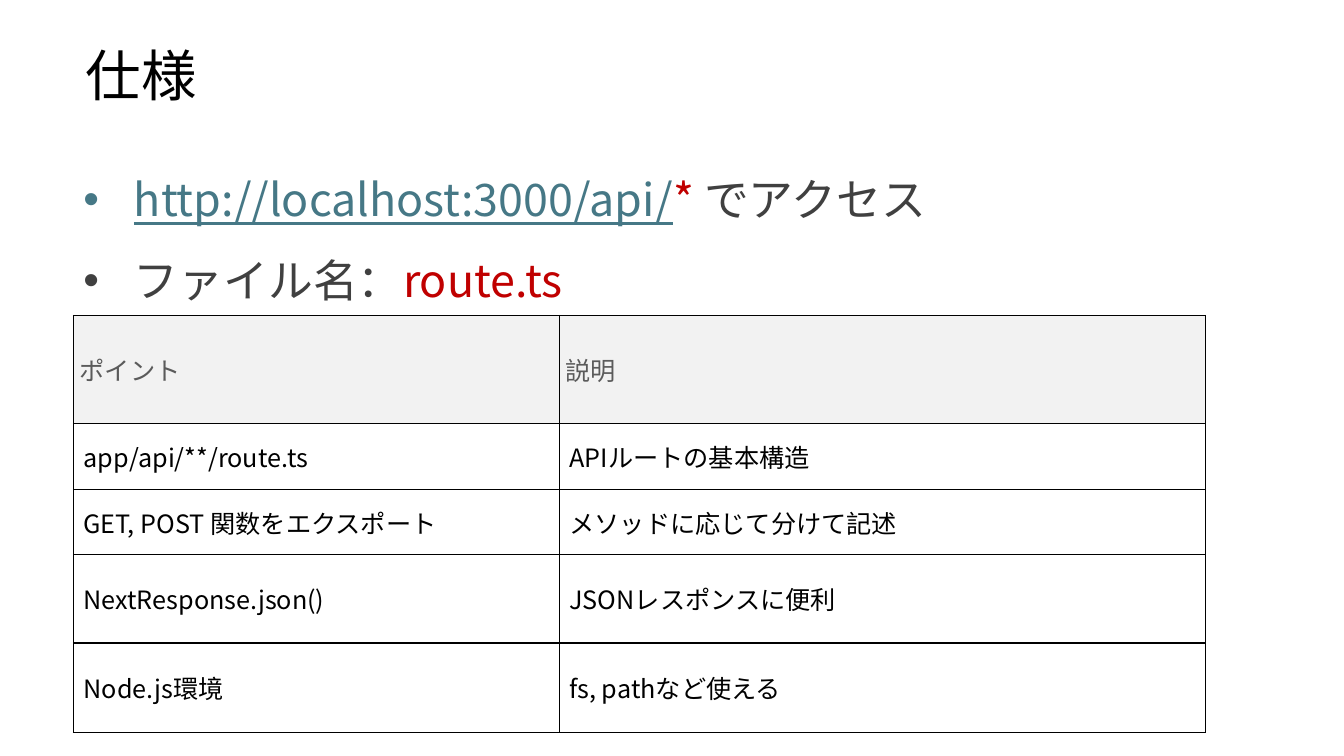
from lxml import etree
from pptx import Presentation
from pptx.dml.color import RGBColor
from pptx.enum.text import MSO_ANCHOR, MSO_AUTO_SIZE, PP_ALIGN
from pptx.oxml.ns import qn
from pptx.util import Pt

MIDDLE = MSO_ANCHOR.MIDDLE
LEFT = PP_ALIGN.LEFT
FIXED = MSO_AUTO_SIZE.NONE
GROW = MSO_AUTO_SIZE.SHAPE_TO_FIT_TEXT

FONT = "Noto Sans CJK JP"
BLACK = RGBColor(0x00, 0x00, 0x00)
DARK = RGBColor(0x40, 0x40, 0x40)
GRAY = RGBColor(0x5B, 0x5B, 0x5B)
PALE = RGBColor(0xF2, 0xF2, 0xF2)
RED = RGBColor(0xC0, 0x00, 0x00)
TEAL = RGBColor(0x46, 0x78, 0x86)

ITEMS = [
    [("http://localhost:3000/api/", TEAL, True), ("* ", RED, False), ("でアクセス", DARK, False)],
    [("ファイル名：", DARK, False), ("route.ts", RED, False)],
]
ROWS = [
    ("ポイント", "説明"),
    ("app/api/**/route.ts", "APIルートの基本構造"),
    ("GET, POST 関数をエクスポート", "メソッドに応じて分けて記述"),
    ("NextResponse.json()", "JSONレスポンスに便利"),
    ("Node.js環境", "fs, pathなど使える"),
]
WIDTHS = [347.04, 461.52]
HEIGHTS = [77.04, 47.52, 46.08, 63.36, 64.08]


def add_text(para, text, size=18, color=BLACK, line=False):
    run = para.add_run()
    run.text = text
    font = run.font
    font.size = Pt(size)
    font.bold = False
    font.underline = line
    font.color.rgb = color
    font.name = FONT
    etree.SubElement(run._r.get_or_add_rPr(), qn("a:ea"), typeface=FONT)


def set_title(slide, text):
    title = slide.shapes.title
    title.left, title.top = Pt(54), Pt(33.12)
    title.width, title.height = Pt(856.8), Pt(45.36)
    frame = title.text_frame
    frame.auto_size = FIXED
    frame.vertical_anchor = MIDDLE
    para = frame.paragraphs[0]
    para.alignment = LEFT
    para.line_spacing = 0.9
    add_text(para, text, size=39.6)


def set_bullet(para, indent):
    props = para._p.get_or_add_pPr()
    props.set("marL", str(indent))
    props.set("indent", str(-indent))
    etree.SubElement(props, qn("a:buFont"), typeface="Arial")
    etree.SubElement(props, qn("a:buChar"), char="•")


def add_list(slide, items):
    box = slide.shapes.add_textbox(Pt(52.56), Pt(100.08), Pt(855.36), Pt(118.08))
    frame = box.text_frame
    frame.word_wrap = True
    frame.auto_size = GROW
    for i, parts in enumerate(items):
        para = frame.add_paragraph() if i else frame.paragraphs[0]
        para.line_spacing = 1.5
        set_bullet(para, Pt(36))
        for text, color, line in parts:
            add_text(para, text, size=32, color=color, line=line)


def set_border(cell):
    props = cell._tc.get_or_add_tcPr()
    for i, side in enumerate(("lnL", "lnR", "lnT", "lnB")):
        edge = etree.Element(qn("a:" + side), w=str(Pt(1)))
        fill = etree.SubElement(edge, qn("a:solidFill"))
        etree.SubElement(fill, qn("a:srgbClr"), val=str(BLACK))
        props.insert(i, edge)


def fill_cell(cell, text, head):
    pad = Pt(4.32 if head else 7.2)
    cell.margin_left = cell.margin_right = pad
    cell.margin_top = cell.margin_bottom = pad
    cell.vertical_anchor = MIDDLE
    if head:
        cell.fill.solid()
        cell.fill.fore_color.rgb = PALE
    else:
        cell.fill.background()
    set_border(cell)
    add_text(cell.text_frame.paragraphs[0], text, color=GRAY if head else BLACK)


def add_grid(slide, rows):
    frame = slide.shapes.add_table(
        len(rows), len(WIDTHS), Pt(52.56), Pt(225.36), Pt(sum(WIDTHS)), Pt(sum(HEIGHTS)))
    table = frame.table
    table.first_row = table.horz_banding = False
    for col, width in zip(table.columns, WIDTHS):
        col.width = Pt(width)
    for row, height in zip(table.rows, HEIGHTS):
        row.height = Pt(height)
    for r, texts in enumerate(rows):
        for c, text in enumerate(texts):
            fill_cell(table.cell(r, c), text, head=r == 0)


def main():
    deck = Presentation()
    deck.slide_width, deck.slide_height = Pt(960), Pt(540)
    slide = deck.slides.add_slide(deck.slide_layouts[5])
    set_title(slide, "仕様")
    add_list(slide, ITEMS)
    add_grid(slide, ROWS)
    deck.save("out.pptx")


if __name__ == "__main__":
    main()
